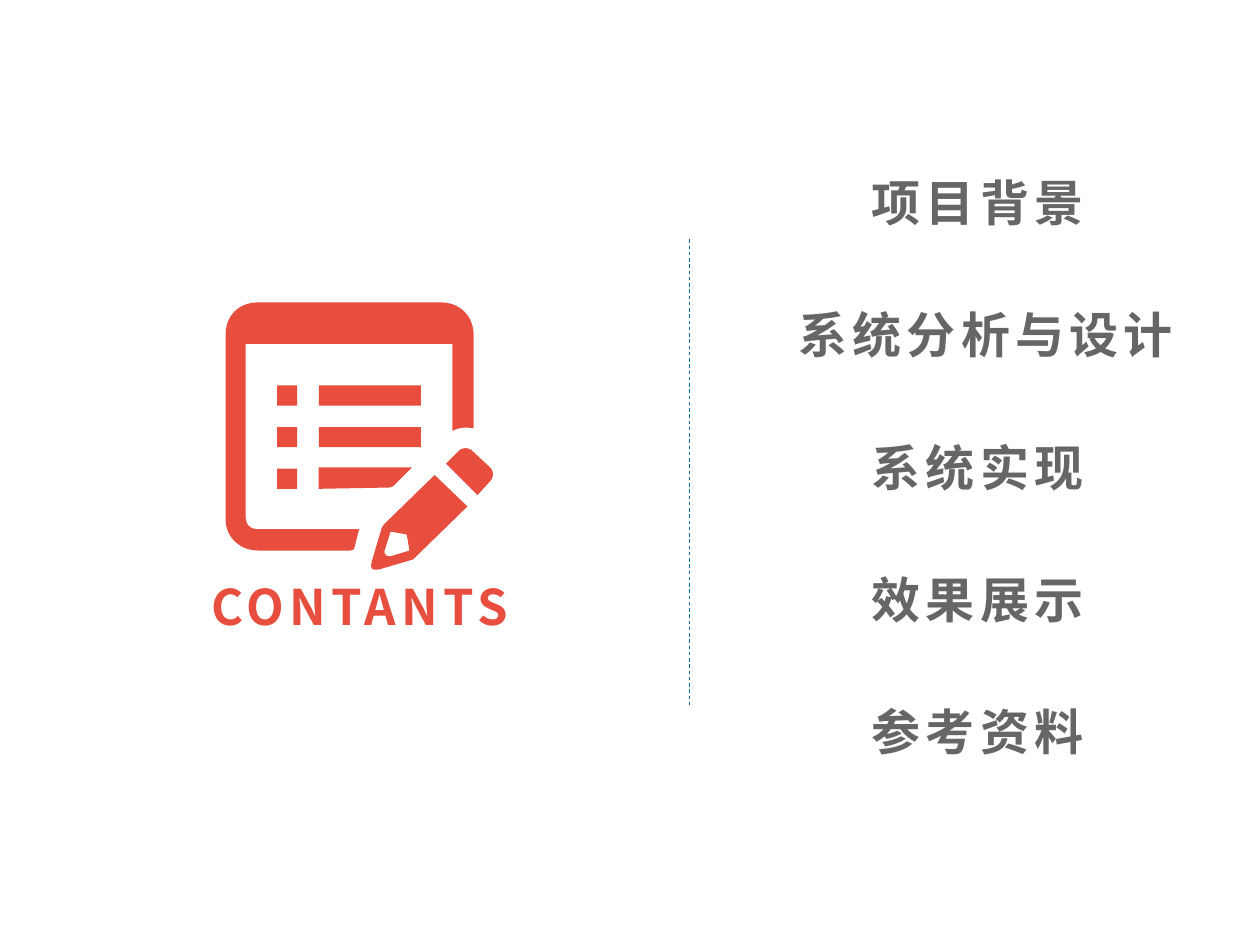
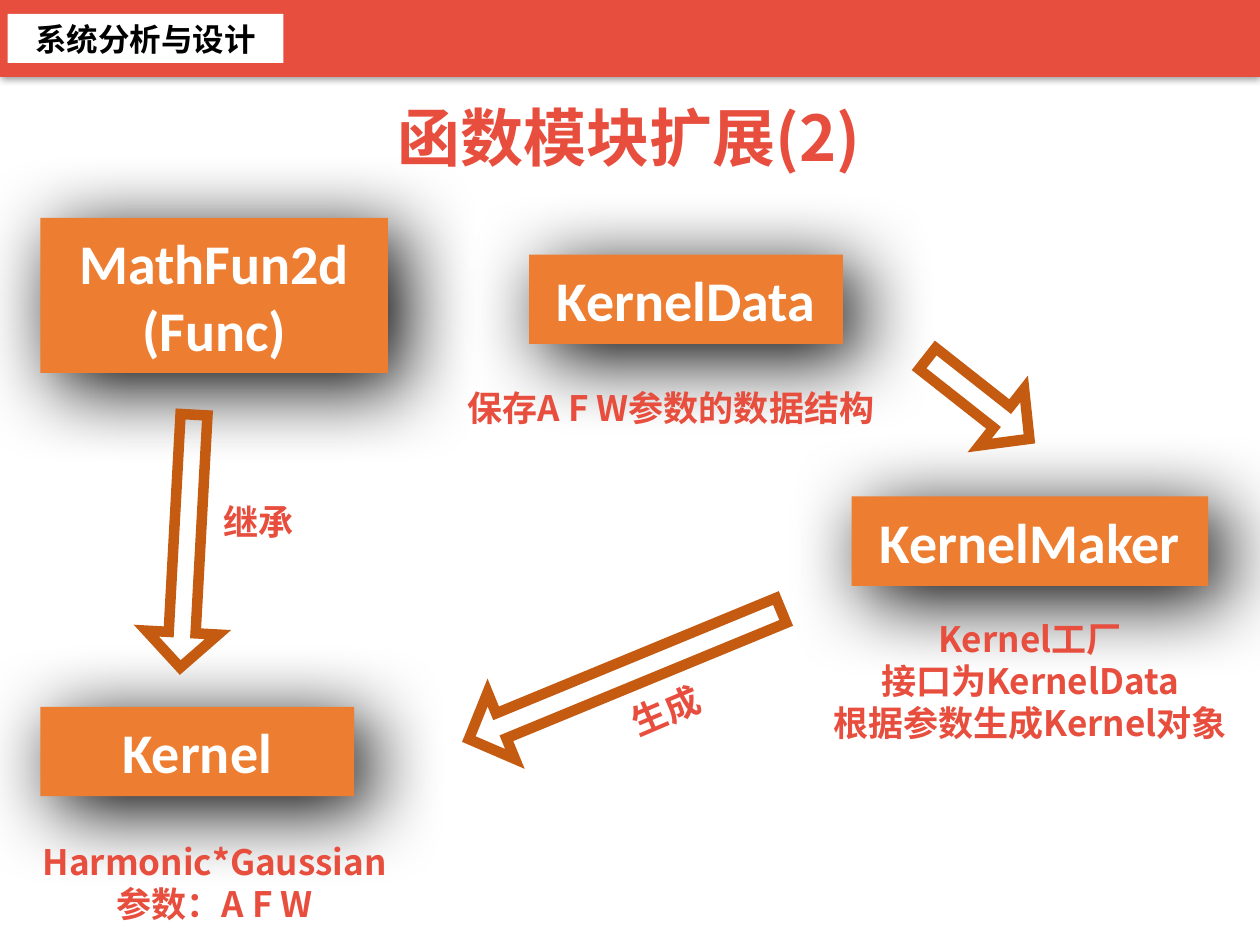
"""Build a contents slide and a class diagram slide for a project report."""
from lxml.etree import SubElement
from pptx import Presentation
from pptx.dml.color import RGBColor
from pptx.enum.dml import MSO_LINE
from pptx.enum.shapes import MSO_CONNECTOR, MSO_SHAPE
from pptx.enum.text import MSO_ANCHOR, MSO_AUTO_SIZE, PP_ALIGN
from pptx.oxml.ns import qn
from pptx.util import Inches, Pt

RED = RGBColor(0xE7, 0x4E, 0x3E)
GREY = RGBColor(0x66, 0x66, 0x66)
BLUE = RGBColor(0x01, 0x74, 0xAB)
ORANGE = RGBColor(0xED, 0x7D, 0x31)
BROWN = RGBColor(0xC5, 0x5A, 0x11)
WHITE = RGBColor(0xFF, 0xFF, 0xFF)
BLACK = RGBColor(0, 0, 0)
CJK_FONT = "Noto Sans CJK SC"
LATIN_FONT = "Calibri"

SECTIONS = ["项目背景", "系统分析与设计", "系统实现", "效果展示", "参考资料"]
SECTION_TOP, SECTION_STEP = 1.32, 1.05
SHORT_LEFT, LONG_LEFT = 6.82, 6.24

# A pair is a corner; six numbers are a Bezier curve.
PAGE = [
    (2.85, 4.2), (2.81, 4.36), (2.78, 4.37), (2.05, 4.37),
    (1.9, 4.37, 1.79, 4.26, 1.79, 4.12), (1.79, 2.66),
    (1.79, 2.51, 1.89, 2.4, 2.05, 2.4), (3.5, 2.4),
    (3.65, 2.4, 3.76, 2.51, 3.76, 2.66), (3.76, 3.4),
    (3.7, 3.39, 3.65, 3.39, 3.59, 3.42), (3.59, 2.73), (1.95, 2.73),
    (1.95, 4.1), (1.95, 4.16, 1.98, 4.2, 2.05, 4.2),
]
PENCIL_BODY = [
    (3.45, 3.77), (3.71, 4.02), (3.31, 4.41), (3.28, 4.44), (3.01, 4.52),
    (2.99, 4.52, 2.93, 4.54, 2.95, 4.46), (3.03, 4.19), (3.05, 4.16),
]
PENCIL_TIP = [
    (3.1, 4.22), (3.05, 4.38), (3.06, 4.42, 3.09, 4.42, 3.12, 4.41),
    (3.25, 4.37), (3.23, 4.25), (3.22, 4.24),
]
ERASER = [
    (3.54, 3.68), (3.64, 3.58), (3.67, 3.55, 3.72, 3.55, 3.75, 3.58),
    (3.89, 3.71), (3.92, 3.74, 3.92, 3.79, 3.89, 3.82), (3.79, 3.93),
]
CUT_BAR = [(2.53, 3.71), (3.27, 3.71), (3.12, 3.86), (3.09, 3.87), (2.53, 3.88)]
ICON_OUTLINES = [[PAGE], [PENCIL_BODY, PENCIL_TIP], [ERASER], [CUT_BAR]]
BULLET_TOPS = [3.06, 3.39, 3.72]
BULLET_SIZE = 0.16

CLASS_BOXES = [
    (["MathFun2d", "(Func)"], 0.32, 1.73, 2.76, 1.23),
    (["Kernel"], 0.32, 5.61, 2.49, 0.71),
    (["KernelData"], 4.2, 2.02, 2.49, 0.71),
    (["KernelMaker"], 6.76, 3.94, 2.83, 0.71),
]
ARROWS = [(0.48, 4.01, 2.01, 93.1), (7.25, 2.88, 1.03, 38.2), (3.62, 5.07, 2.68, 157.6)]
CAPTIONS = [
    (["Harmonic*Gaussian", "参数：A F W"], -0.2, 6.62, 3.81, 0.77, 0),
    (["保存A F W参数的数据结构"], 3.42, 3.02, 3.81, 0.44, 0),
    (["Kernel工厂", "接口为KernelData", "根据参数生成Kernel对象"], 6.5, 4.85, 3.35, 1.11, 0),
    (["生成"], 4.54, 5.42, 1.49, 0.44, 336.9),
    (["继承"], 1.31, 3.92, 1.49, 0.44, 0),
]


def write(shape, lines, size, color, font=CJK_FONT, align=PP_ALIGN.CENTER, spacing=0):
    frame = shape.text_frame
    frame.word_wrap = True
    for index, line in enumerate(lines):
        paragraph = frame.paragraphs[0] if index == 0 else frame.add_paragraph()
        paragraph.alignment = align
        run = paragraph.add_run()
        run.text = line
        run.font.size = Pt(size)
        run.font.bold = True
        run.font.name = font
        run.font.color.rgb = color
        properties = run.font._element
        SubElement(properties, qn("a:ea"), typeface=CJK_FONT)
        if spacing:
            properties.set("spc", str(spacing * 100))


def add_text(slide, lines, left, top, width, height, size, color, rotation=0, **style):
    box = slide.shapes.add_textbox(*map(Inches, (left, top, width, height)))
    box.rotation = rotation
    write(box, lines, size, color, **style)
    box.text_frame.auto_size = MSO_AUTO_SIZE.SHAPE_TO_FIT_TEXT


def paint(shape, color):
    shape.shadow.inherit = False
    shape.fill.solid()
    shape.fill.fore_color.rgb = color
    shape.line.fill.background()


def add_box(shapes, left, top, width, height, color):
    box = shapes.add_shape(MSO_SHAPE.RECTANGLE, *map(Inches, (left, top, width, height)))
    paint(box, color)
    return box


def add_shadow(shape, opacity, blur, distance, angle):
    effects = shape._element.spPr.find(qn("a:effectLst"))
    shadow = SubElement(
        effects, qn("a:outerShdw"), blurRad=str(Pt(blur)), dist=str(Pt(distance)),
        dir=str(angle * 60000), algn="ctr", rotWithShape="0")
    color = SubElement(shadow, qn("a:srgbClr"), val=str(BLACK))
    SubElement(color, qn("a:alpha"), val=str(opacity * 1000))


def flatten(outline, steps=10):
    points = []
    for part in outline:
        if len(part) == 2:
            points.append(part)
            continue
        controls = [points[-1], part[0:2], part[2:4], part[4:6]]
        for step in range(1, steps + 1):
            t = step / steps
            weights = ((1 - t) ** 3, 3 * t * (1 - t) ** 2, 3 * t * t * (1 - t), t ** 3)
            points.append(tuple(
                sum(w * point[axis] for w, point in zip(weights, controls))
                for axis in (0, 1)))
    return [(Inches(x), Inches(y)) for x, y in points]


def add_icon(slide):
    shapes = slide.shapes.add_group_shape().shapes
    for outlines in ICON_OUTLINES:
        first, *others = map(flatten, outlines)
        builder = shapes.build_freeform(*first[0])
        builder.add_line_segments(first[1:], close=True)
        for points in others:
            builder.move_to(*points[0])
            builder.add_line_segments(points[1:], close=True)
        paint(builder.convert_to_shape(), RED)
    for top in BULLET_TOPS:
        add_box(shapes, 2.2, top, BULLET_SIZE, BULLET_SIZE, RED)
    for top in BULLET_TOPS[:-1]:
        add_box(shapes, 2.53, top, 0.81, BULLET_SIZE, RED)


def add_arrow(slide, left, top, length, rotation):
    arrow = slide.shapes.add_shape(
        MSO_SHAPE.RIGHT_ARROW, *map(Inches, (left, top, length, 0.57)))
    arrow.adjustments[0], arrow.adjustments[1] = 0.375, 0.487
    arrow.rotation = rotation
    arrow.shadow.inherit = False
    arrow.fill.background()
    arrow.line.color.rgb = BROWN
    arrow.line.width = Pt(6)
    SubElement(arrow.line._ln, qn("a:miter"), lim="800000")


def add_header(slide, section):
    band = add_box(slide.shapes, 0, 0, 10, 0.61, RED)
    add_shadow(band, 40, 4, 1, 90)
    label = add_box(slide.shapes, 0.06, 0.11, 2.19, 0.39, WHITE)
    label.text_frame.vertical_anchor = MSO_ANCHOR.MIDDLE
    write(label, [section], 18, BLACK, LATIN_FONT)


def build_contents(slide):
    divider = slide.shapes.add_connector(
        MSO_CONNECTOR.STRAIGHT, *map(Inches, (5.47, 1.9, 5.47, 5.6)))
    divider.line.color.rgb = BLUE
    divider.line.width = Pt(0.5)
    divider.line.dash_style = MSO_LINE.DASH
    SubElement(divider._element.spPr, qn("a:effectLst"))
    for index, section in enumerate(SECTIONS):
        left, width = (LONG_LEFT, 3.36) if len(section) > 4 else (SHORT_LEFT, 2.45)
        add_text(slide, [section], left, SECTION_TOP + index * SECTION_STEP, width, 0.57,
                 28, GREY, align=PP_ALIGN.LEFT, spacing=3)
    add_icon(slide)
    add_text(slide, ["CONTANTS"], 1.4, 4.53, 2.91, 0.57, 28, RED, spacing=3)


def build_class_diagram(slide):
    add_header(slide, SECTIONS[1])
    add_text(slide, ["函数模块扩展(2)"], 3.04, 0.73, 3.9, 0.71, 36, RED)
    for lines, *place in CLASS_BOXES:
        box = add_box(slide.shapes, *place, ORANGE)
        add_shadow(box, 100, 46, 12, 43)
        box.text_frame.vertical_anchor = MSO_ANCHOR.MIDDLE
        write(box, lines, 32, WHITE, LATIN_FONT)
    for arrow in ARROWS:
        add_arrow(slide, *arrow)
    for lines, left, top, width, height, rotation in CAPTIONS:
        add_text(slide, lines, left, top, width, height, 20, RED, rotation)


def main():
    presentation = Presentation()
    presentation.slide_width, presentation.slide_height = Inches(10), Inches(7.5)
    for build in (build_contents, build_class_diagram):
        build(presentation.slides.add_slide(presentation.slide_layouts[6]))
    presentation.save("out.pptx")


if __name__ == "__main__":
    main()
